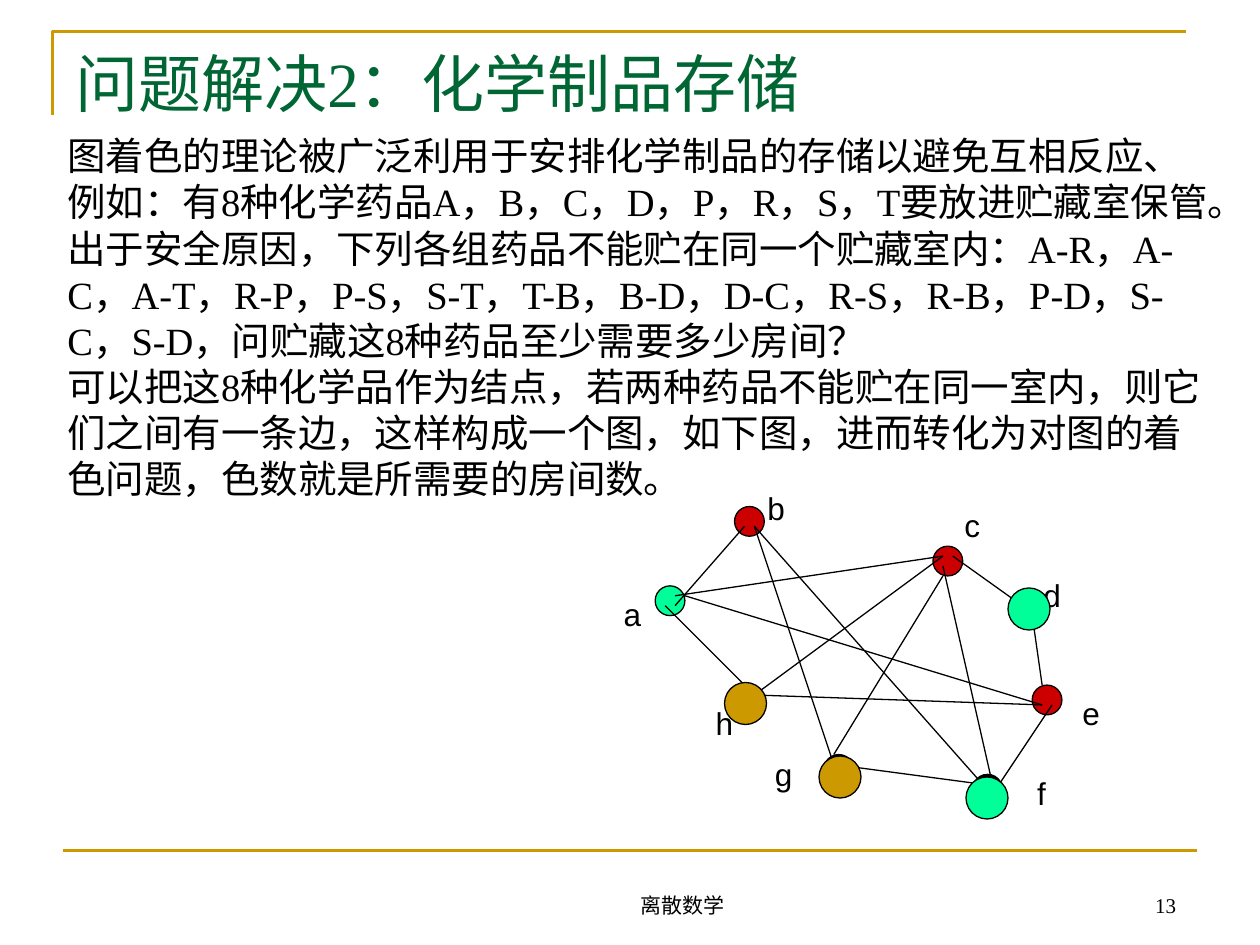
from dataclasses import dataclass
from typing import NamedTuple

from pptx import Presentation
from pptx.dml.color import RGBColor
from pptx.enum.shapes import MSO_CONNECTOR, MSO_SHAPE
from pptx.enum.text import MSO_ANCHOR, PP_ALIGN
from pptx.oxml.ns import qn
from pptx.util import Inches, Mm, Pt

STRAIGHT = MSO_CONNECTOR.STRAIGHT
OVAL = MSO_SHAPE.OVAL
TOP, BOTTOM = MSO_ANCHOR.TOP, MSO_ANCHOR.BOTTOM
LEFT, CENTER, RIGHT = PP_ALIGN.LEFT, PP_ALIGN.CENTER, PP_ALIGN.RIGHT


@dataclass(frozen=True)
class Theme:
    ink: RGBColor = RGBColor.from_string("000000")
    gold: RGBColor = RGBColor.from_string("CC9900")
    heading: RGBColor = RGBColor.from_string("006633")
    red: RGBColor = RGBColor.from_string("CC0000")
    green: RGBColor = RGBColor.from_string("00FF99")
    serif: str = "Times New Roman"
    sans: str = "Arial"
    title_size: float = 36
    body_size: float = 22
    label_size: float = 18
    footer_size: float = 12
    rule_width: float = 1.5
    edge_width: float = 0.75


@dataclass(frozen=True)
class Grid:
    left: int
    top: int
    cell: float

    def point(self, column: float, row: float) -> tuple[int, int]:
        return self.left + self.length(column), self.top + self.length(row)

    def length(self, cells: float) -> int:
        return round(cells * self.cell)


class Disc(NamedTuple):
    column: float
    row: float
    color: RGBColor


class Edge(NamedTuple):
    start: tuple[float, float]
    end: tuple[float, float]


class Label(NamedTuple):
    text: str
    column: float
    row: float
    width: float = 4.3


@dataclass(frozen=True)
class TextStyle:
    size: float
    color: RGBColor
    font: str
    align: int = LEFT
    anchor: int = TOP
    wrap: bool = True


THEME = Theme()
PAGE_GRID = Grid(0, 0, Inches(1) / 12)
GRAPH_GRID = Grid(Inches(5.2), Inches(4.02), Mm(2))
NODE_CELLS = 3
COLORED_NODE_CELLS = 4
LABEL_ROWS = 5.1

TITLE = "问题解决2：化学制品存储"
BODY = (
    "图着色的理论被广泛利用于安排化学制品的存储以避免互相反应、",
    "例如：有8种化学药品A，B，C，D，P，R，S，T要放进贮藏室保管。"
    "出于安全原因，下列各组药品不能贮在同一个贮藏室内："
    "A-R，A-C，A-T，R-P，P-S，S-T，T-B，B-D，D-C，R-S，R-B，P-D，S-C，S-D，"
    "问贮藏这8种药品至少需要多少房间？",
    "可以把这8种化学品作为结点，若两种药品不能贮在同一室内，则它们之间有一条边，"
    "这样构成一个图，如下图，进而转化为对图的着色问题，色数就是所需要的房间数。",
)
NODES = (
    Disc(8, 0, THEME.red), Disc(0, 8, THEME.green),
    Disc(8, 18, THEME.ink), Disc(28, 4, THEME.red),
    Disc(17, 25, THEME.ink), Disc(38, 18, THEME.red),
    Disc(32, 27, THEME.ink), Disc(36, 9, THEME.ink),
)
EDGES = (
    Edge((9, 2), (2, 10)), Edge((1, 10), (9, 18)),
    Edge((10, 2), (33, 28)), Edge((3, 9), (39, 20)),
    Edge((10, 19), (39, 20)), Edge((10, 2), (18, 26)),
    Edge((18, 26), (33, 28)), Edge((40, 20), (34, 29)),
    Edge((38, 11), (39, 18)), Edge((37, 10), (30, 5)),
    Edge((29, 6), (34, 28)), Edge((29, 5), (10, 19)),
    Edge((29, 5), (2, 9)), Edge((29, 7), (18, 25)),
)
LABELS = (
    Label("a", -4.45, 8.26), Label("b", 10.04, -2.41),
    Label("h", 4.83, 19.31), Label("c", 29.86, -0.64, 4.2),
    Label("d", 37.86, 6.35), Label("e", 41.8, 18.3),
    Label("f", 37.23, 26.3, 3.4), Label("g", 10.8, 24.4),
)
COLORED_NODES = (
    Disc(92, 74, THEME.green), Disc(96, 56, THEME.green),
    Disc(78, 72, THEME.gold), Disc(69, 65, THEME.gold),
)


def draw_disc(shapes, grid: Grid, disc: Disc, cells: float) -> None:
    side = grid.length(cells)
    oval = shapes.add_shape(OVAL, *grid.point(disc.column, disc.row), side, side)
    oval.shadow.inherit = False
    oval.fill.solid()
    oval.fill.fore_color.rgb = disc.color
    oval.line.color.rgb = THEME.ink
    oval.line.width = Pt(THEME.edge_width)


def draw_line(shapes, grid: Grid, edge: Edge, color: RGBColor, width: float) -> None:
    line = shapes.add_connector(STRAIGHT, *grid.point(*edge.start), *grid.point(*edge.end))
    line.line.color.rgb = color
    line.line.width = Pt(width)
    properties = line._element.spPr
    properties.append(properties.makeelement(qn("a:effectLst"), {}))


def draw_text(shapes, grid: Grid, place: tuple[float, float, float, float],
              lines: tuple[str, ...], style: TextStyle) -> None:
    column, row, width, height = place
    box = shapes.add_textbox(*grid.point(column, row), grid.length(width), grid.length(height))
    frame = box.text_frame
    frame.word_wrap = style.wrap
    frame.vertical_anchor = style.anchor
    frame.text = "\n".join(lines)
    for para in frame.paragraphs:
        para.alignment = style.align
        para.font.size = Pt(style.size)
        para.font.name = style.font
        para.font.color.rgb = style.color


def draw_corner(shapes) -> None:
    builder = shapes.build_freeform(*PAGE_GRID.point(5, 11))
    builder.add_line_segments([PAGE_GRID.point(5, 3), PAGE_GRID.point(113, 3)], close=False)
    corner = builder.convert_to_shape()
    corner.shadow.inherit = False
    corner.fill.background()
    corner.line.color.rgb = THEME.gold
    corner.line.width = Pt(THEME.rule_width)


def draw_graph(shapes) -> None:
    label_style = TextStyle(THEME.label_size, THEME.ink, THEME.sans, CENTER, wrap=False)
    for node in NODES:
        draw_disc(shapes, GRAPH_GRID, node, NODE_CELLS)
    for edge in EDGES:
        draw_line(shapes, GRAPH_GRID, edge, THEME.ink, THEME.edge_width)
    for label in LABELS:
        place = (label.column, label.row, label.width, LABEL_ROWS)
        draw_text(shapes, GRAPH_GRID, place, (label.text,), label_style)


def main() -> None:
    deck = Presentation()
    deck.slide_width, deck.slide_height = Inches(10), Inches(7.5)
    page = deck.slides.add_slide(deck.slide_layouts[6])
    shapes = page.shapes

    title_style = TextStyle(THEME.title_size, THEME.heading, THEME.serif)
    body_style = TextStyle(THEME.body_size, THEME.ink, THEME.serif)
    footer_style = TextStyle(THEME.footer_size, THEME.ink, THEME.serif, CENTER, BOTTOM)
    number_style = TextStyle(THEME.footer_size, THEME.ink, THEME.serif, RIGHT, BOTTOM)

    draw_corner(shapes)
    draw_line(shapes, PAGE_GRID, Edge((6, 81), (114, 81)), THEME.gold, THEME.rule_width)
    draw_text(shapes, PAGE_GRID, (6, 3.6, 108, 15), (TITLE,), title_style)
    draw_text(shapes, PAGE_GRID, (46, 82, 38, 6), ("离散数学",), footer_style)
    draw_text(shapes, PAGE_GRID, (100, 82, 13.2, 6), ("13",), number_style)
    draw_graph(shapes.add_group_shape().shapes)
    for node in COLORED_NODES:
        draw_disc(shapes, PAGE_GRID, node, COLORED_NODE_CELLS)
    draw_text(shapes, PAGE_GRID, (5.25, 12, 111.75, 46.1), BODY, body_style)

    deck.save("out.pptx")


if __name__ == "__main__":
    main()
